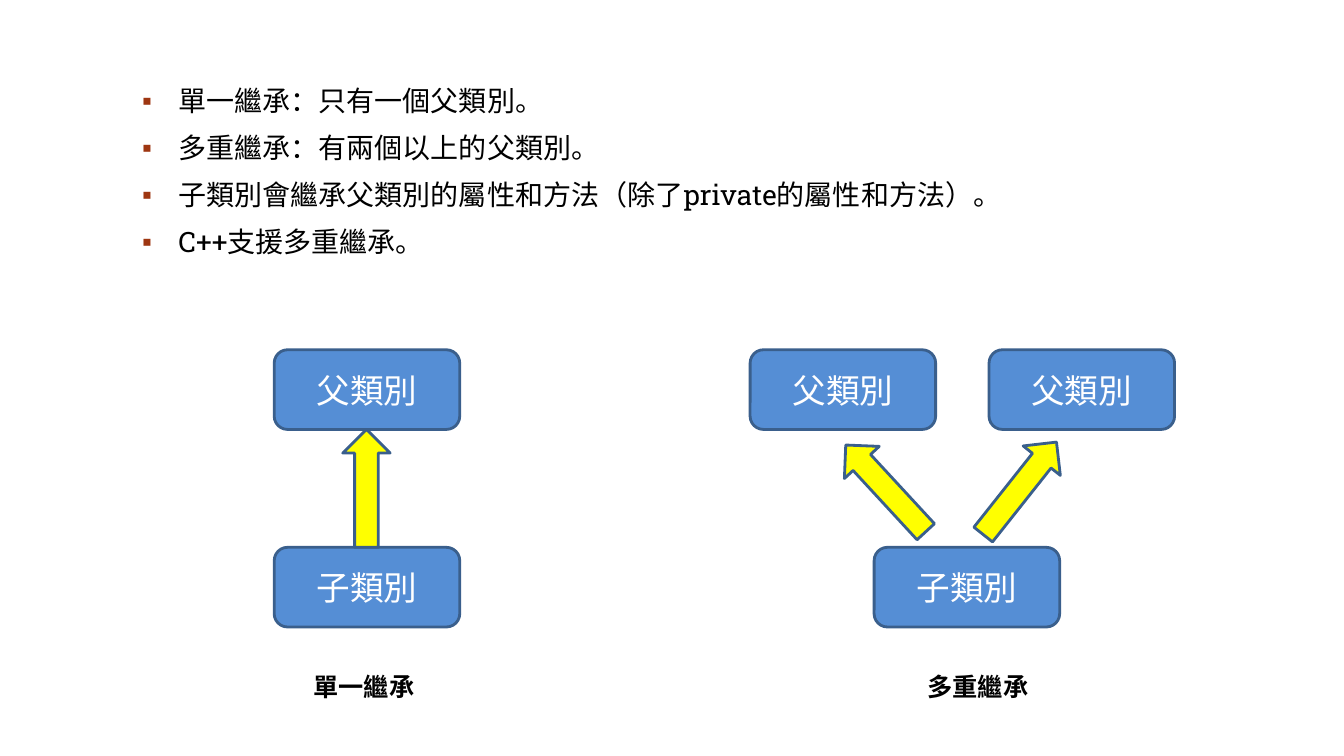
from dataclasses import dataclass

from lxml.etree import SubElement
from pptx import Presentation
from pptx.dml.color import RGBColor
from pptx.enum.shapes import MSO_SHAPE
from pptx.enum.text import MSO_ANCHOR, MSO_AUTO_SIZE, PP_ALIGN
from pptx.oxml.ns import qn
from pptx.shapes.autoshape import Shape
from pptx.slide import Slide
from pptx.text.text import Font, _Paragraph
from pptx.util import Emu, Pt

EMU_PER_PX = 9144  # 100 px to the inch
COLORS = {
    "text": "000000",
    "bullet": "9E3611",
    "class": "558ED5",
    "class_text": "FFFFFF",
    "arrow": "FFFF00",
    "outline": "3A5F8C",
}
PARENT, CHILD = "父類別", "子類別"
PARENT_TOP, CHILD_TOP, CAPTION_TOP = 347, 543, 661
CLASS_WIDTH, CLASS_HEIGHT = 184, 79
ARROW_WIDTH = 47
ARROW_TOP = PARENT_TOP + CLASS_HEIGHT
ARROW_HEIGHT = CHILD_TOP - ARROW_TOP
BULLETS = [
    "單一繼承：只有一個父類別。",
    "多重繼承：有兩個以上的父類別。",
    "子類別會繼承父類別的屬性和方法（除了private的屬性和方法）。",
    "C++支援多重繼承。",
]


@dataclass(frozen=True)
class Arrow:
    left: int
    rotation: float = 0


@dataclass(frozen=True)
class Diagram:
    caption: str
    caption_left: int
    parent_lefts: tuple[int, ...]
    child_left: int
    arrows: tuple[Arrow, ...]


DIAGRAMS = [
    Diagram("單一繼承", 301, (272,), 272, (Arrow(340),)),
    Diagram("多重繼承", 910, (744, 981), 867, (Arrow(855, 317.3), Arrow(988, 38.4))),
]


def px(length: int) -> Emu:
    return Emu(length * EMU_PER_PX)


def color(name: str) -> RGBColor:
    return RGBColor.from_string(COLORS[name])


def format_font(font: Font, name: str, size: int, color_name: str, bold: bool = False) -> None:
    font.name = name
    font.size = Pt(size)
    font.bold = bold
    font.color.rgb = color(color_name)


def add_bullet(paragraph: _Paragraph) -> None:
    properties = paragraph._p.get_or_add_pPr()
    properties.set("marL", str(px(50)))
    properties.set("indent", str(px(-36)))
    bullet_color = SubElement(properties, qn("a:buClr"))
    SubElement(bullet_color, qn("a:srgbClr"), val=COLORS["bullet"])
    SubElement(properties, qn("a:buFont"), typeface="Arial")
    SubElement(properties, qn("a:buChar"), char="▪")


def fill_body(slide: Slide) -> None:
    body = slide.placeholders[1]
    body.left, body.top, body.width, body.height = px(117), px(82), px(1100), px(593)
    frame = body.text_frame
    frame.text = "\n".join(BULLETS)
    frame.auto_size = MSO_AUTO_SIZE.NONE
    frame.vertical_anchor = MSO_ANCHOR.TOP
    for paragraph in frame.paragraphs:
        paragraph.line_spacing = 0.9
        paragraph.space_before = Pt(12)
        add_bullet(paragraph)
        format_font(paragraph.font, "Roboto Slab", 20, "text")


def add_outlined_shape(slide: Slide, kind: MSO_SHAPE, left: int, top: int,
                       width: int, height: int, fill: str) -> Shape:
    shape = slide.shapes.add_shape(kind, px(left), px(top), px(width), px(height))
    shape.shadow.inherit = False
    shape.fill.solid()
    shape.fill.fore_color.rgb = color(fill)
    shape.line.color.rgb = color("outline")
    shape.line.width = Pt(2)
    return shape


def add_class(slide: Slide, label: str, left: int, top: int) -> None:
    shape = add_outlined_shape(slide, MSO_SHAPE.ROUNDED_RECTANGLE, left, top,
                               CLASS_WIDTH, CLASS_HEIGHT, "class")
    shape.text_frame.text = label
    shape.text_frame.vertical_anchor = MSO_ANCHOR.MIDDLE
    paragraph = shape.text_frame.paragraphs[0]
    paragraph.alignment = PP_ALIGN.CENTER
    format_font(paragraph.font, "Arial", 24, "class_text")


def add_caption(slide: Slide, text: str, left: int) -> None:
    frame = slide.shapes.add_textbox(px(left), px(CAPTION_TOP), px(125), px(40)).text_frame
    frame.word_wrap = True
    frame.text = text
    format_font(frame.paragraphs[0].font, "Arial", 18, "text", bold=True)


def add_diagram(slide: Slide, diagram: Diagram) -> None:
    for left in diagram.parent_lefts:
        add_class(slide, PARENT, left, PARENT_TOP)
    add_class(slide, CHILD, diagram.child_left, CHILD_TOP)
    for arrow in diagram.arrows:
        shape = add_outlined_shape(slide, MSO_SHAPE.UP_ARROW, arrow.left, ARROW_TOP,
                                   ARROW_WIDTH, ARROW_HEIGHT, "arrow")
        shape.rotation = arrow.rotation
    add_caption(slide, diagram.caption, diagram.caption_left)


def main() -> None:
    presentation = Presentation()
    presentation.slide_width, presentation.slide_height = px(1333), px(750)
    slide = presentation.slides.add_slide(presentation.slide_layouts[1])
    title = slide.shapes.title
    title.element.getparent().remove(title.element)
    fill_body(slide)
    for diagram in DIAGRAMS:
        add_diagram(slide, diagram)
    presentation.save("out.pptx")


if __name__ == "__main__":
    main()
